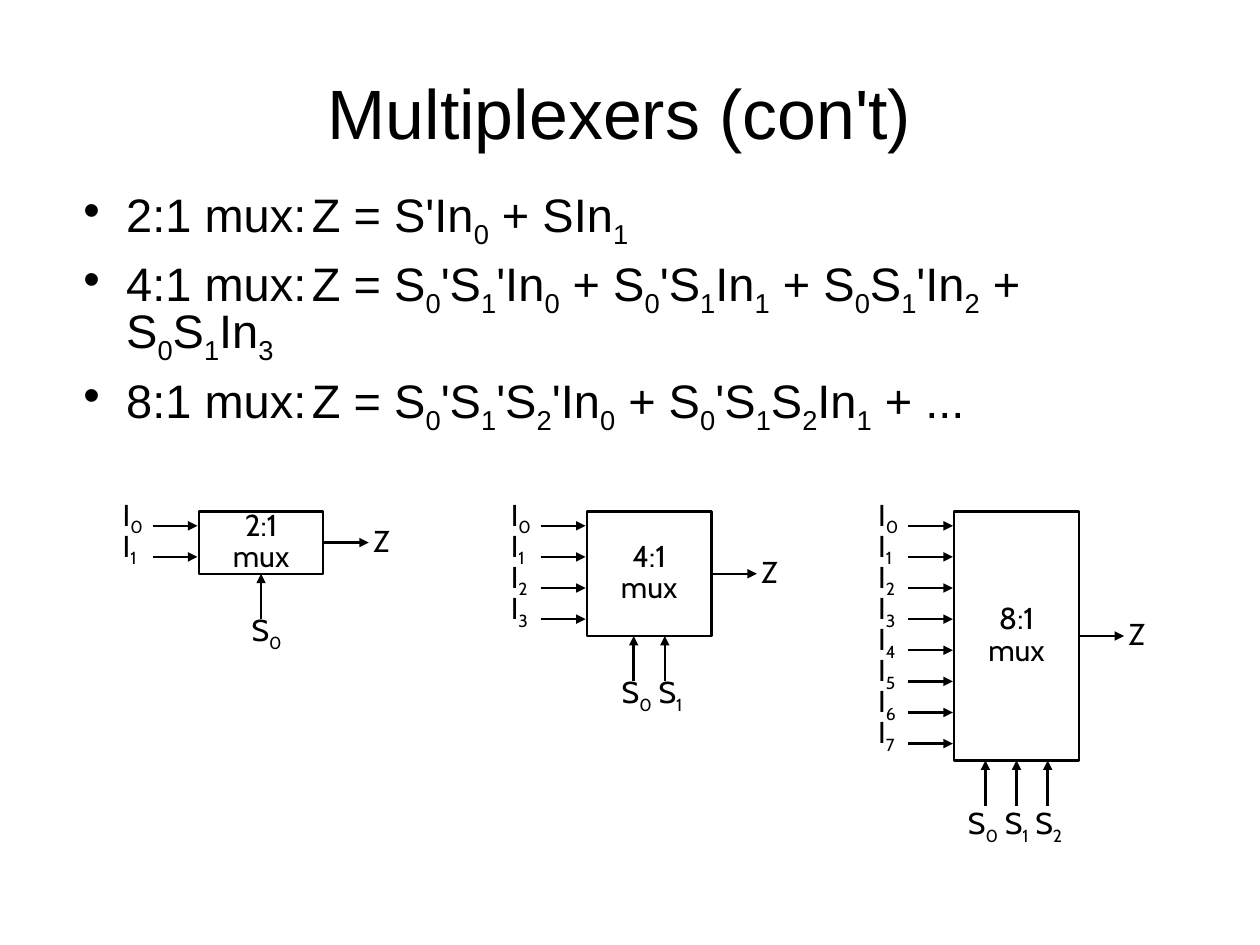
from dataclasses import dataclass

import lxml.etree
import pptx
import pptx.dml.color
import pptx.enum.shapes
import pptx.enum.text
import pptx.oxml
import pptx.oxml.ns
import pptx.util

Pt = pptx.util.Pt
qn = pptx.oxml.ns.qn
ALIGN = pptx.enum.text.PP_ALIGN
ANCHOR = pptx.enum.text.MSO_ANCHOR


@dataclass(frozen=True)
class Theme:
    ink: pptx.dml.color.RGBColor = pptx.dml.color.RGBColor(0, 0, 0)
    body_font: str = "Arial"
    label_font: str = "Cabin"
    title_size: float = 44
    body_size: float = 29.6
    label_size: float = 19
    line_width: float = 1.5


@dataclass(frozen=True)
class Mux:
    left: float
    inputs: int
    selects: int
    label_shift: float
    label_drop: float


THEME = Theme()
PITCH = 19.6
MUX_TOP = 322.2
MUX_WIDTH = 78.4
ARROW = 28.6
MUXES = (
    Mux(125.3, 2, 1, -6, 30),
    Mux(369.8, 4, 2, -7.5, 30),
    Mux(601.2, 8, 3, -11, 34),
)
EQUATIONS = (
    "2:1 mux:\tZ = S'In_0 + SIn_1",
    "4:1 mux:\tZ = S_0'S_1'In_0 + S_0'S_1In_1 + S_0S_1'In_2 + S_0S_1In_3",
    "8:1 mux:\tZ = S_0'S_1'S_2'In_0 + S_0'S_1S_2In_1 + ...",
)


def add_span(para, text, font, size, subscript):
    span = para.add_run()
    span.text = text
    span.font.name = font
    span.font.size = Pt(size)
    span.font.color.rgb = THEME.ink
    if subscript:
        span._r.get_or_add_rPr().set("baseline", "-25000")


def add_bullet(para, indent, tab):
    properties = para._p.get_or_add_pPr()
    properties.set("marL", str(Pt(indent)))
    properties.set("indent", str(-Pt(indent)))
    lxml.etree.SubElement(properties, qn("a:buFont")).set("typeface", THEME.body_font)
    lxml.etree.SubElement(properties, qn("a:buChar")).set("char", "•")
    tabs = lxml.etree.SubElement(properties, qn("a:tabLst"))
    stop = lxml.etree.SubElement(tabs, qn("a:tab"))
    stop.set("pos", str(Pt(tab)))
    stop.set("algn", "l")


def write(frame, *texts, font=THEME.label_font, size=THEME.label_size, align=ALIGN.LEFT,
          anchor=ANCHOR.TOP, spacing=Pt(PITCH), after=0, bullet=False):
    frame.word_wrap = True
    frame.vertical_anchor = anchor
    frame.margin_left = frame.margin_right = frame.margin_top = frame.margin_bottom = 0
    for number, text in enumerate(texts):
        para = frame.add_paragraph() if number else frame.paragraphs[0]
        if bullet:
            add_bullet(para, indent=27, tab=144)
        para.alignment = align
        para.line_spacing = spacing
        para.space_after = Pt(after)
        for row, line in enumerate(text.split("\n")):
            if row:
                para.add_line_break()
            first, *rest = line.split("_")
            add_span(para, first, font, size, False)
            for piece in rest:
                add_span(para, piece[0], font, size, True)
                if piece[1:]:
                    add_span(para, piece[1:], font, size, False)


def add_text(page, left, top, width, height, *texts, **style):
    box = page.shapes.add_textbox(Pt(left), Pt(top), Pt(width), Pt(height))
    write(box.text_frame, *texts, **style)


def add_arrow(page, start, end):
    arrow = page.shapes.add_connector(
        pptx.enum.shapes.MSO_CONNECTOR.STRAIGHT, *(Pt(value) for value in start + end))
    arrow.line.color.rgb = THEME.ink
    arrow.line.width = Pt(THEME.line_width)
    head = lxml.etree.SubElement(arrow.line._get_or_add_ln(), qn("a:tailEnd"))
    head.set("type", "triangle")
    lxml.etree.SubElement(arrow._element.spPr, qn("a:effectLst"))
    return arrow


def add_block(page, left, top, width, height, text):
    block = page.shapes.add_shape(
        pptx.enum.shapes.MSO_SHAPE.RECTANGLE, Pt(left), Pt(top), Pt(width), Pt(height))
    block.shadow.inherit = False
    block.fill.background()
    block.line.color.rgb = THEME.ink
    block.line.width = Pt(THEME.line_width)
    write(block.text_frame, text, align=ALIGN.CENTER, anchor=ANCHOR.MIDDLE)
    return block


def add_mux(page, mux):
    height = PITCH * mux.inputs
    right, bottom = mux.left + MUX_WIDTH, MUX_TOP + height
    middle = MUX_TOP + height / 2
    center = mux.left + MUX_WIDTH / 2
    block = add_block(page, mux.left, MUX_TOP, MUX_WIDTH, height, f"{mux.inputs}:1\nmux")

    names = "\n".join(f"I_{index}" for index in range(mux.inputs))
    add_text(page, mux.left - 48, MUX_TOP - 3.4, 24, height, names)
    for index in range(mux.inputs):
        y = MUX_TOP + 9 + PITCH * index
        add_arrow(page, (mux.left - 29.2, y), (mux.left - 0.9, y))

    first_select = center - PITCH * (mux.selects - 1) / 2
    for index in range(mux.selects):
        x = first_select + PITCH * index
        arrow = add_arrow(page, (x, bottom + ARROW), (x, bottom))
        if 2 * index == mux.selects - 1:
            arrow.end_connect(block, 2)
    names = " ".join(f"S_{index}" for index in range(mux.selects))
    add_text(page, first_select + mux.label_shift, bottom + mux.label_drop, 80, PITCH, names)

    output = add_arrow(page, (right, middle), (right + ARROW, middle))
    output.begin_connect(block, 3)
    add_text(page, right + 31.5, middle - PITCH / 2, 30, PITCH, "Z")


def main():
    deck = pptx.Presentation()
    deck.slide_width, deck.slide_height = Pt(793.75), Pt(595.25)
    page = deck.slides.add_slide(deck.slide_layouts[6])
    add_text(page, 33.5, 23.4, 714, 99.4, "Multiplexers (con't)", font=THEME.body_font,
             size=THEME.title_size, align=ALIGN.CENTER, anchor=ANCHOR.MIDDLE, spacing=0.93)
    add_text(page, 52.5, 122.8, 689, 155.7, *EQUATIONS, font=THEME.body_font,
             size=THEME.body_size, spacing=0.73, after=14.3, bullet=True)
    for mux in MUXES:
        add_mux(page, mux)
    deck.save("out.pptx")


if __name__ == "__main__":
    main()
